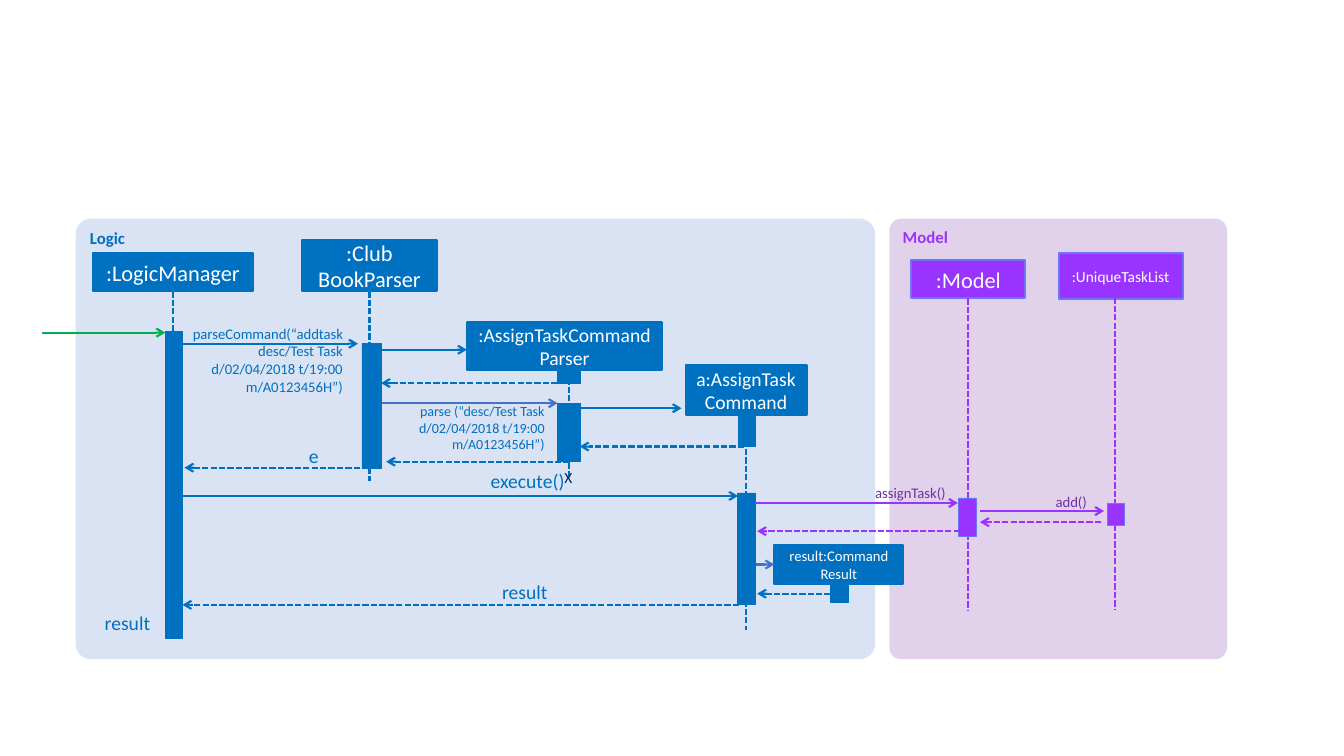
from dataclasses import dataclass
from lxml.etree import SubElement
from pptx import Presentation
from pptx.dml.color import RGBColor as RGB
from pptx.enum.dml import MSO_LINE as Dash
from pptx.enum.shapes import MSO_CONNECTOR as Conn, MSO_SHAPE as Shape
from pptx.enum.text import MSO_ANCHOR as Anchor, MSO_AUTO_SIZE as Auto, PP_ALIGN as Align
from pptx.oxml.ns import qn
from pptx.util import Inches, Pt


@dataclass(frozen=True)
class Theme:
    font: str = "Calibri"
    blue: str = "0070C0"
    steel: str = "4472C4"
    green: str = "00B050"
    violet: str = "9933FF"
    edge: str = "6F75F7"
    plum: str = "7030A0"
    navy: str = "002060"
    white: str = "FFFFFF"
    sky: str = "DAE3F3"
    lilac: str = "E2D1EB"
    head: float = 16
    mid: float = 14
    panel: float = 12
    note: float = 11
    small: float = 10.5
    tiny: float = 10
    line: float = 1.5
    thin: float = 0.5


T = Theme()
TOP, LEFT, BOTTOM = 0, 1, 2


def write(frame, text, size=T.mid, color=T.blue, bold=False, align=Align.LEFT):
    frame.text = text
    for para in frame.paragraphs:
        para.alignment = align
        for run in para.runs:
            font = run.font
            font.name, font.size, font.bold = T.font, Pt(size), bold
            font.color.rgb = RGB.from_string(color)


def block(slide, kind, place, fill):
    shape = slide.shapes.add_shape(kind, *map(Inches, place))
    shape.shadow.inherit = False
    shape.fill.solid()
    shape.fill.fore_color.rgb = RGB.from_string(fill)
    shape.line.fill.background()
    return shape


def outline(shape, color, width):
    shape.line.color.rgb = RGB.from_string(color)
    shape.line.width = Pt(width)


def panel(slide, place, text, fill, color):
    shape = block(slide, Shape.ROUNDED_RECTANGLE, place, fill)
    shape.adjustments[0] = 0.035
    shape.text_frame.vertical_anchor = Anchor.TOP
    write(shape.text_frame, text, size=T.panel, color=color, bold=True)


def head(slide, place, text, size=T.head, fill=T.blue, edge=T.blue):
    """Draw the named box of a participant."""
    shape = block(slide, Shape.RECTANGLE, place, fill)
    outline(shape, edge, T.line)
    shape.text_frame.word_wrap = True
    shape.text_frame.vertical_anchor = Anchor.MIDDLE
    write(shape.text_frame, text, size=size, color=T.white, align=Align.CENTER)
    return shape


def bar(slide, place, fill=T.blue, edge=T.blue):
    """Draw an activation bar."""
    shape = block(slide, Shape.RECTANGLE, place, fill)
    outline(shape, edge, T.thin)
    return shape


def link(slide, start, end, color=T.blue, dash=False, arrow=True):
    line = slide.shapes.add_connector(Conn.STRAIGHT, *map(Inches, (*start, *end)))
    outline(line, color, T.line)
    if dash:
        line.line.dash_style = Dash.SQUARE_DOT
    if arrow:
        SubElement(line.line._get_or_add_ln(), qn("a:tailEnd"), type="arrow")
    SubElement(line._element.spPr, qn("a:effectLst"))
    return line


def life(slide, x, top, end, color=T.blue, owner=None, side=BOTTOM):
    """Draw a lifeline, joined to its owner where they are centred."""
    line = link(slide, (x, top), (x, end), color, dash=True, arrow=False)
    if owner:
        line.begin_connect(owner, side)
        line.end_x = line.begin_x


def label(slide, place, text, size=T.mid, color=T.blue):
    frame = slide.shapes.add_textbox(*map(Inches, place)).text_frame
    frame.margin_left = frame.margin_right = frame.margin_top = frame.margin_bottom = 0
    frame.word_wrap = True
    frame.auto_size = Auto.SHAPE_TO_FIT_TEXT
    write(frame, text, size=size, color=color, align=Align.RIGHT)


def logic(slide):
    """Draw the participants of the Logic part."""
    boss = head(slide, (0.92, 2.51, 1.59, 0.38), ":LogicManager")
    life(slide, 1.72, 2.89, 5.75, owner=boss)
    book = head(slide, (3, 2.38, 1.33, 0.51), ":Club\nBookParser")
    life(slide, 3.67, 2.89, 4.77, owner=book)
    task = head(slide, (6.8, 3.62, 1.2, 0.5), "a:AssignTask\vCommand", size=T.mid)
    life(slide, 7.4, 4.12, 6.25, owner=task)
    head(slide, (4.63, 3.2, 1.94, 0.47), ":AssignTaskCommand\nParser", size=T.mid)
    stub = bar(slide, (5.53, 3.67, 0.23, 0.13))
    life(slide, 5.65, 3.67, 4.75, owner=stub, side=TOP)
    for place in (
        (1.64, 3.29, 0.17, 3.04),
        (3.59, 3.41, 0.19, 1.24),
        (5.53, 4, 0.23, 0.58),
        (7.32, 4.13, 0.17, 0.3),
        (7.31, 4.89, 0.18, 1.11),
    ):
        bar(slide, place)


def model(slide):
    """Draw the participants of the Model part."""
    look = {"fill": T.violet, "edge": T.edge}
    main_box = head(slide, (9.04, 2.58, 1.13, 0.38), ":Model", **look)
    life(slide, 9.6, 2.96, 6.05, color=T.violet, owner=main_box)
    head(slide, (10.5, 2.51, 1.23, 0.46), ":UniqueTaskList", size=T.note, **look)
    life(slide, 11.06, 2.95, 6.05, color=T.violet)
    bar(slide, (9.51, 4.94, 0.17, 0.38), **look)
    bar(slide, (10.98, 4.99, 0.17, 0.22), **look)


def result(slide):
    """Draw the result box with its call and return."""
    box = head(slide, (7.68, 5.41, 1.28, 0.38), "result:Command Result", size=T.small)
    stub = bar(slide, (8.24, 5.8, 0.17, 0.18))
    link(slide, (7.5, 5.6), (7.68, 5.6), T.steel).end_connect(box, LEFT)
    link(slide, (8.24, 5.89), (7.51, 5.89), dash=True).begin_connect(stub, LEFT)


def calls(slide):
    for x, end, y, color in (
        (0.42, 1.64, 3.3, T.green),
        (1.81, 3.55, 3.41, T.blue),
        (3.73, 4.63, 3.47, T.blue),
        (3.79, 5.53, 4, T.steel),
        (5.75, 6.76, 4.05, T.blue),
        (1.81, 7.32, 4.92, T.blue),
        (7.49, 9.5, 4.99, T.violet),
        (9.72, 10.95, 5.07, T.violet),
    ):
        link(slide, (x, y), (end, y), color)


def returns(slide):
    for x, end, y, color in (
        (5.53, 3.78, 3.8, T.blue),
        (7.38, 5.75, 4.43, T.blue),
        (5.65, 3.83, 4.58, T.blue),
        (3.57, 1.83, 4.64, T.blue),
        (9.52, 7.51, 5.27, T.violet),
        (10.92, 9.72, 5.18, T.violet),
        (7.33, 1.81, 6, T.blue),
    ):
        link(slide, (x, y), (end, y), color, dash=True)


def notes(slide):
    """Write the wording of the messages."""
    label(slide, (1.84, 3.22, 1.56, 0.71),
          "parseCommand(“addtaskdesc/Test Task d/02/04/2018 t/19:00\nm/A0123456H”)", size=T.small)
    label(slide, (3.84, 3.99, 1.56, 0.5),
          "parse (“desc/Test Task d/02/04/2018 t/19:00\nm/A0123456H”)", size=T.tiny)
    label(slide, (2.92, 4.4, 0.24, 0.24), "e")
    label(slide, (4.66, 4.65, 0.94, 0.24), "execute()")
    label(slide, (4.75, 5.75, 0.68, 0.24), "result")
    label(slide, (0.66, 6.06, 0.83, 0.24), "result")
    label(slide, (7.82, 4.8, 1.56, 0.18), "assignTask()", size=T.small, color=T.plum)
    label(slide, (10.38, 4.89, 0.4, 0.18), "add()", size=T.small, color=T.plum)
    cross = slide.shapes.add_textbox(*map(Inches, (5.5, 4.59, 0.28, 0.29))).text_frame
    cross.word_wrap = False
    cross.auto_size = Auto.SHAPE_TO_FIT_TEXT
    write(cross, "X", size=T.note, color=T.navy)


def main():
    deck = Presentation()
    deck.slide_width, deck.slide_height = Inches(13.33), Inches(7.5)
    slide = deck.slides.add_slide(deck.slide_layouts[6])
    panel(slide, (8.82, 2.17, 3.35, 4.37), "Model", T.lilac, T.violet)
    panel(slide, (0.75, 2.17, 7.93, 4.37), "Logic", T.sky, T.blue)
    for draw in (logic, model, result, calls, returns, notes):
        draw(slide)
    deck.save("out.pptx")


if __name__ == "__main__":
    main()
